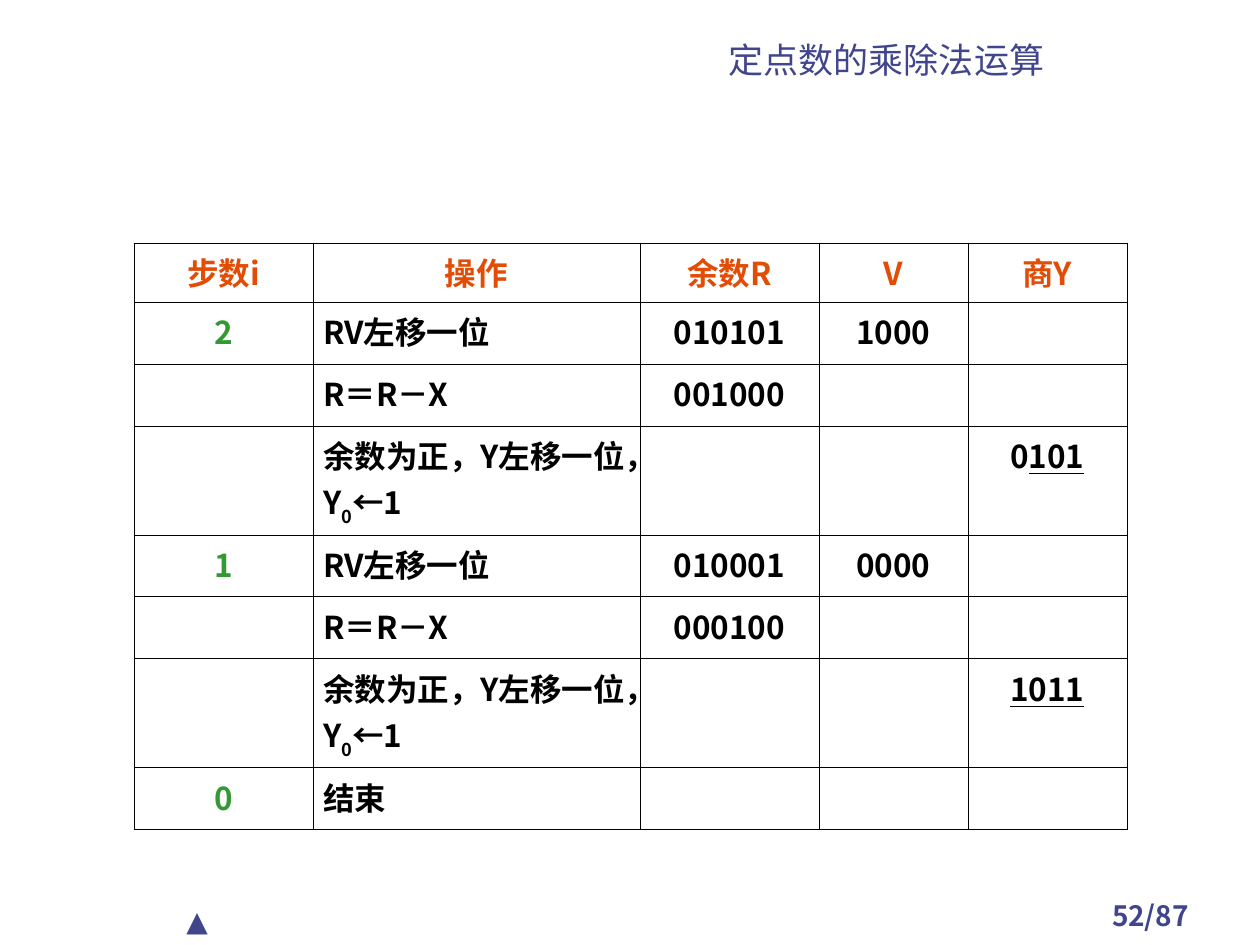
from lxml import etree
from pptx import Presentation
from pptx import util as u
from pptx.dml.color import RGBColor
from pptx.enum import text
from pptx.oxml.ns import qn

PX = 914400 // 126  # EMU per px
COLORS = {"theme": "40458C", "head": "E24C05", "step": "339933",
          "body": "000000", "border": "000000"}
CJK, LATIN = "Noto Sans CJK SC", "Roboto"
CENTER, LEFT = text.PP_ALIGN.CENTER, text.PP_ALIGN.LEFT

COL_WIDTHS = [179, 327, 179, 149, 159]
HEAD_H, LINE_H, WRAP_H = 59, 62, 109
HEADER = ["步数i", "操作", "余数R", "V", "商Y"]
SHIFT, SUBTRACT = "RV左移一位", "R＝R－X"
SET_BIT = [("余数为正，Y左移一位，Y", ""), ("0", "sub"), ("←1", "")]


def px(n):
    return u.Emu(n * PX)


def format_paragraph(p, size, color, font=CJK, bold=False, align=LEFT):
    p.alignment = align
    f = p.font
    f.size, f.bold, f.name = u.Pt(size), bold, font
    f.color.rgb = RGBColor.from_string(COLORS[color])
    ea = etree.SubElement(p._p.pPr.find(qn("a:defRPr")), qn("a:ea"))
    ea.set("typeface", CJK)


def add_runs(p, content):
    """Content is a string or a list of (text, style) pairs."""
    for words, style in [(content, "")] if isinstance(content, str) else content:
        r = p.add_run()
        r.text = words
        if style == "sub":
            r.font._element.set("baseline", "-30000")
        elif style == "line":
            r.font.underline = True


def add_title(s, words, x, y, w, h):
    sp = s.shapes.title
    sp.left, sp.top, sp.width, sp.height = map(px, (x, y, w, h))
    tf = sp.text_frame
    tf.auto_size = text.MSO_AUTO_SIZE.NONE
    tf.vertical_anchor = text.MSO_ANCHOR.BOTTOM
    add_runs(tf.paragraphs[0], words)
    format_paragraph(tf.paragraphs[0], 20, "theme", LATIN, align=CENTER)


def add_label(s, words, x, y, w, h, **style):
    tf = s.shapes.add_textbox(*map(px, (x, y, w, h))).text_frame
    tf.word_wrap = True
    add_runs(tf.paragraphs[0], words)
    format_paragraph(tf.paragraphs[0], 16, "theme", **style)


def set_borders(cell):
    tc_pr = cell._tc.get_or_add_tcPr()
    for i, side in enumerate(("lnL", "lnR", "lnT", "lnB")):
        ln = etree.Element(qn(f"a:{side}"), w=str(u.Pt(0.45)))
        fill = etree.SubElement(ln, qn("a:solidFill"))
        etree.SubElement(fill, qn("a:srgbClr"), val=COLORS["border"])
        tc_pr.insert(i, ln)


def fill_cell(cell, content, color, align, margin):
    cell.fill.background()
    set_borders(cell)
    cell.margin_left = cell.margin_right = u.Inches(margin)
    p = cell.text_frame.paragraphs[0]
    if content:
        add_runs(p, content)
    format_paragraph(p, 18, color, bold=True, align=align)


def division_step(step, shifted, v, remainder, quotient):
    """The three rows of one step of the division."""
    return [[step, SHIFT, shifted, v, ""],
            ["", SUBTRACT, remainder, "", ""],
            ["", SET_BIT, "", "", quotient]]


def add_steps_table(s, rows, x, y):
    heights = [HEAD_H] + [WRAP_H if row[1] == SET_BIT else LINE_H
                          for row in rows[1:]]
    frame = s.shapes.add_table(len(rows), len(COL_WIDTHS), px(x), px(y),
                               px(sum(COL_WIDTHS)), px(sum(heights)))
    table = frame.table
    table.first_row = table.horz_banding = False
    for col, width in zip(table.columns, COL_WIDTHS):
        col.width = px(width)
    for i, row in enumerate(rows):
        table.rows[i].height = px(heights[i])
        for j, content in enumerate(row):
            color = "head" if i == 0 else "step" if j == 0 else "body"
            operation = i > 0 and j == 1
            margin = 0.08 if operation else 0.02 if color == "step" else 0.1
            fill_cell(table.cell(i, j), content, color,
                      LEFT if operation else CENTER, margin)


def main():
    prs = Presentation()
    prs.slide_width, prs.slide_height = u.Inches(10), u.Inches(7.5)
    s = prs.slides.add_slide(prs.slide_layouts[5])

    # Footer
    add_label(s, "52/87", 1061, 892, 179, 42, bold=True, align=CENTER)
    add_label(s, "▲", 174, 897, 179, 47, font=LATIN)

    # Heading
    add_title(s, "定点数的乘除法运算", 535, 34, 703, 53)

    # Division steps
    rows = [HEADER]
    rows += division_step("2", "010101", "1000", "001000",
                          [("0", ""), ("101", "line")])
    rows += division_step("1", "010001", "0000", "000100", [("1011", "line")])
    rows += [["0", "结束", "", "", ""]]
    add_steps_table(s, rows, 134, 243)

    prs.save("out.pptx")


if __name__ == "__main__":
    main()
